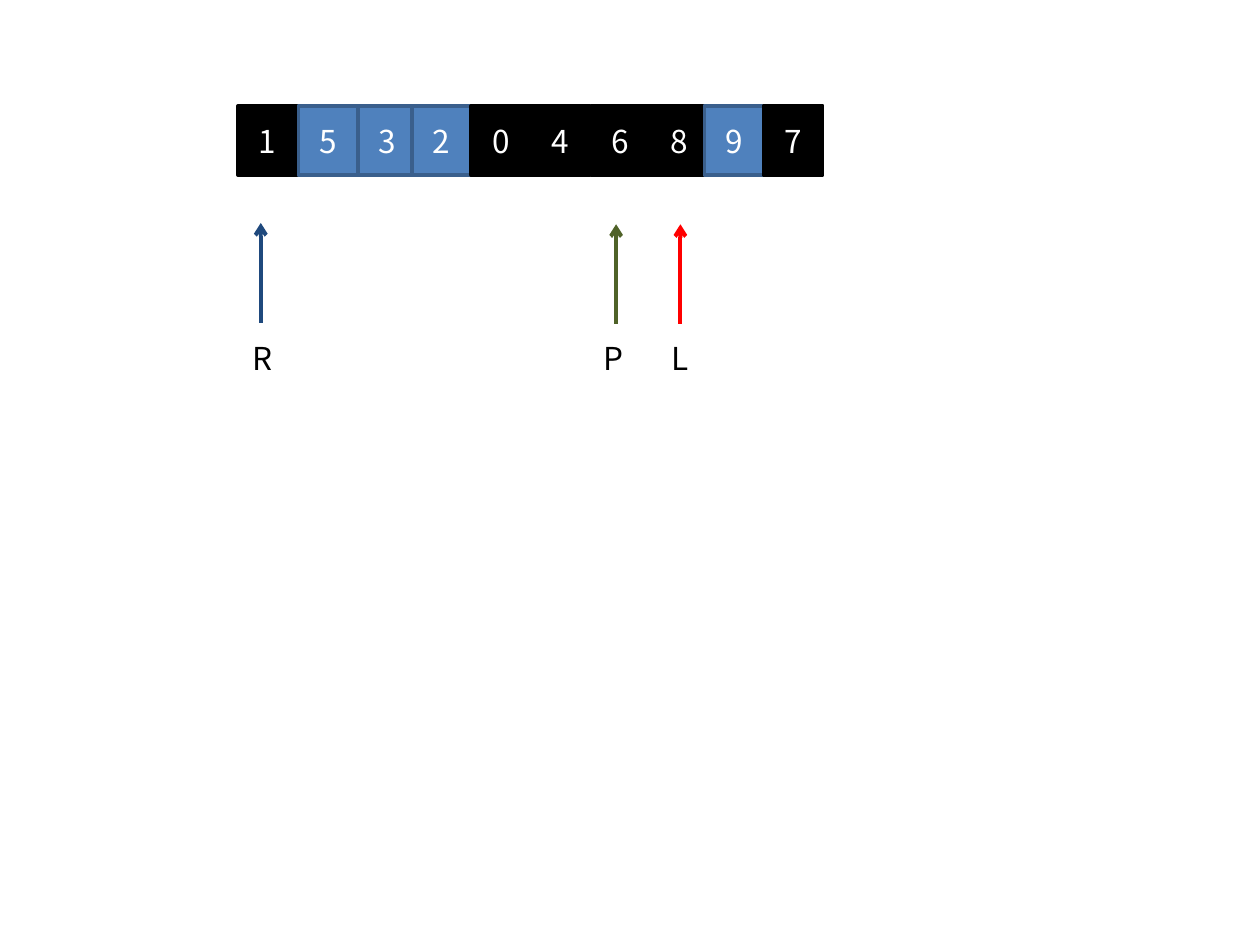
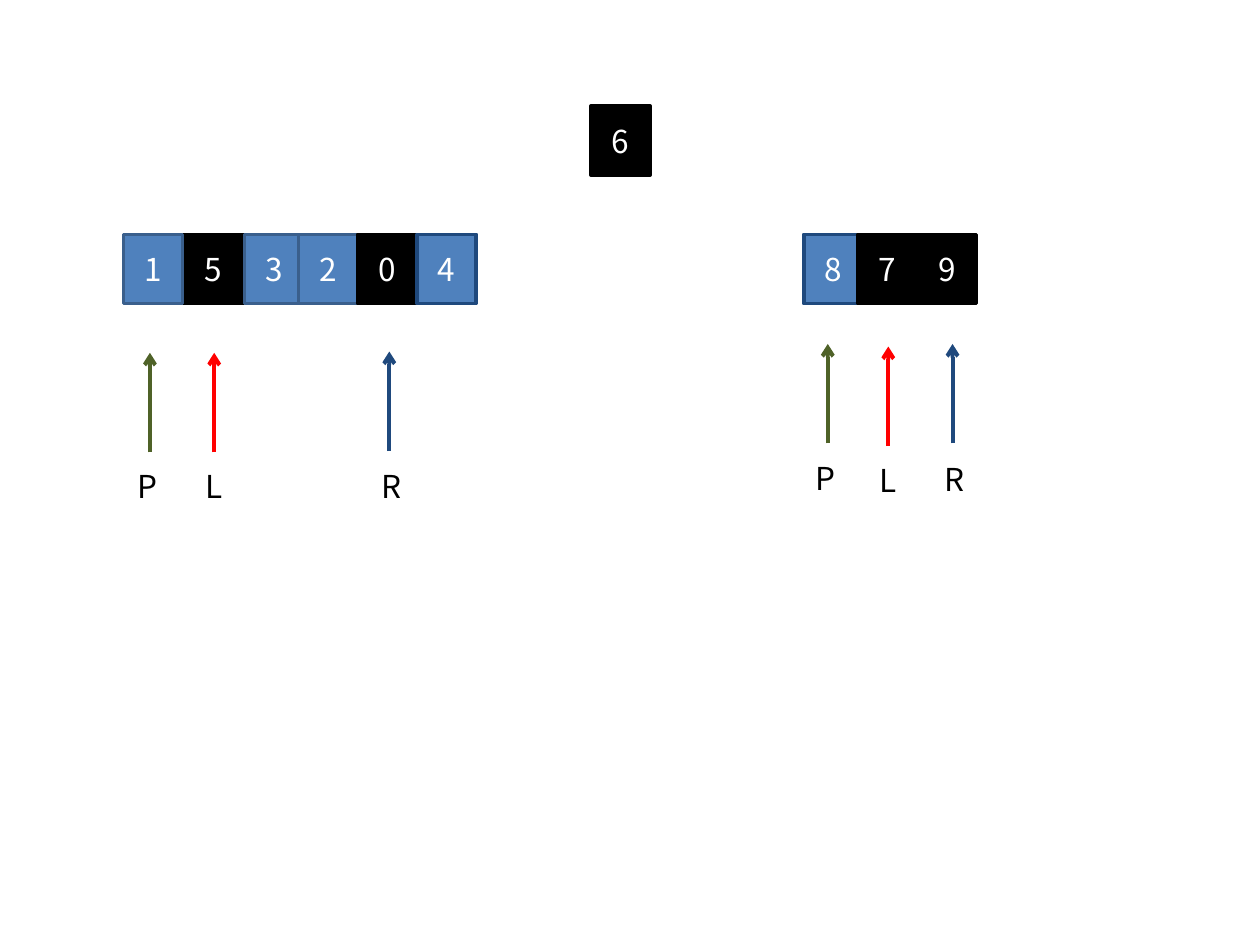
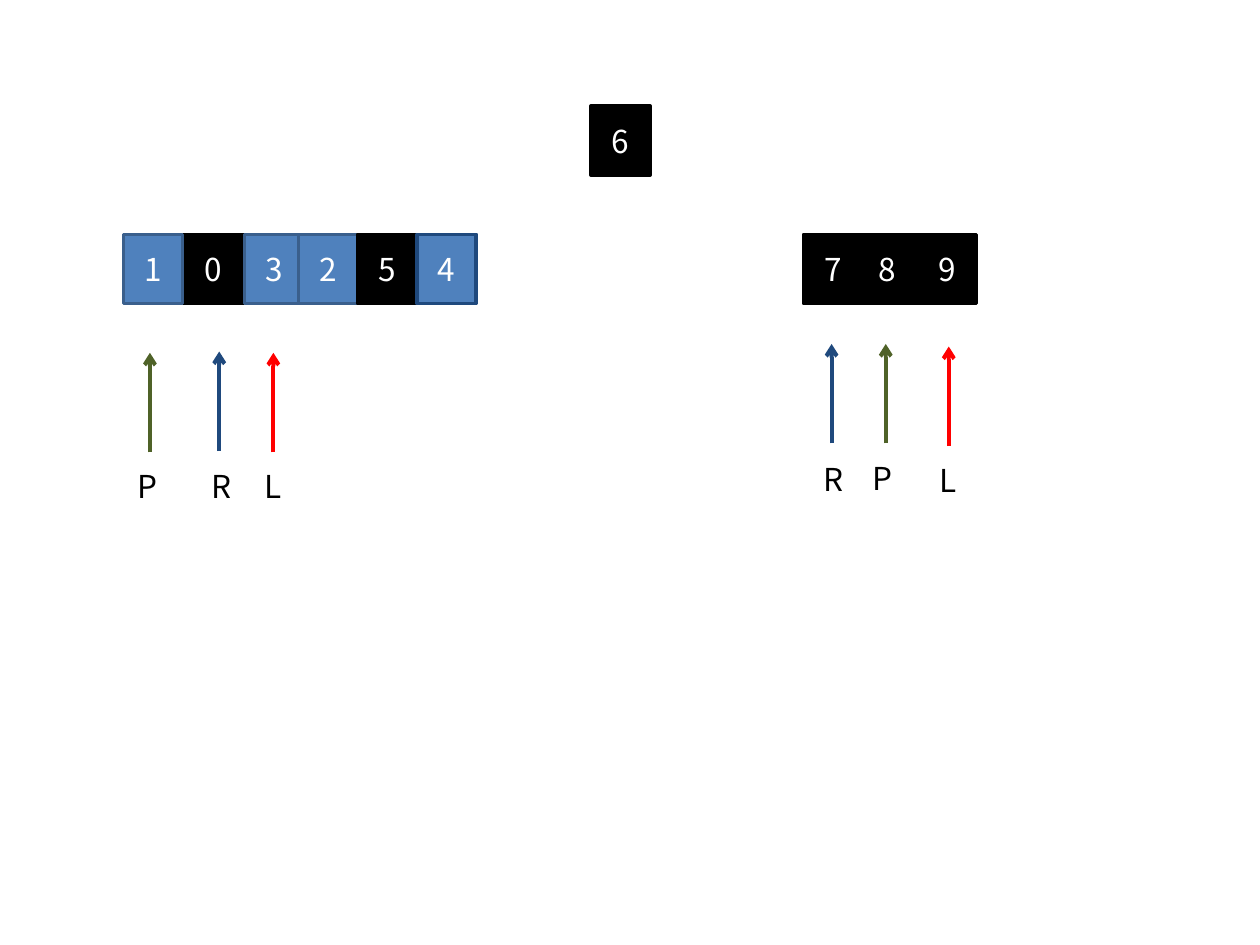
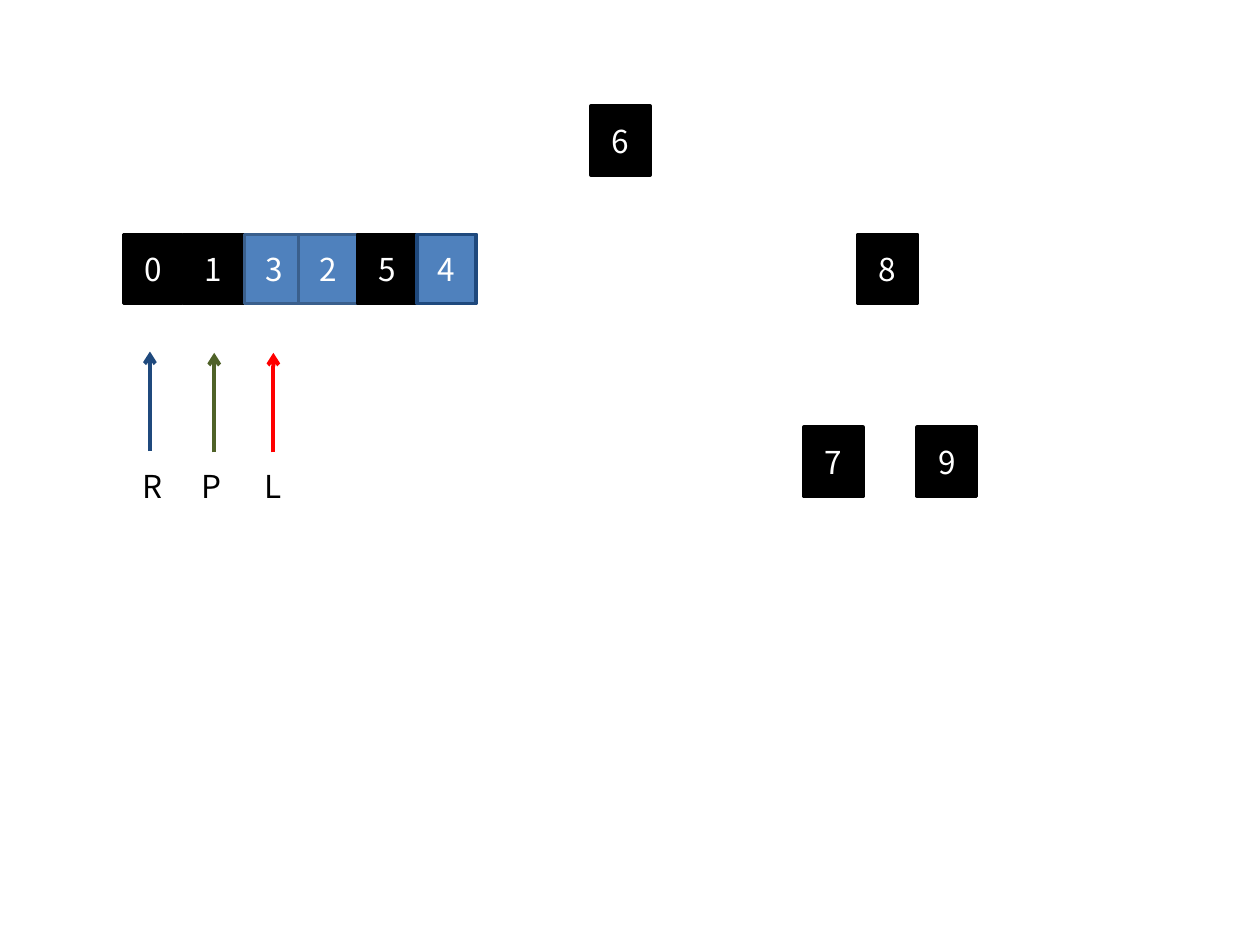
import pptx
import pptx.dml.color
import pptx.enum.shapes
import pptx.enum.text
import pptx.oxml.ns
import pptx.util
from lxml import etree

Inches = pptx.util.Inches
Pt = pptx.util.Pt

COLORS = {
    "black": "000000", "white": "FFFFFF", "blue": "4F81BD",
    "steel": "3A5F8C", "navy": "1F497D", "green": "4F6228", "red": "FF0000",
}
# Cell styles: k = settled or pointed at, b = waiting, n = waiting, navy edge
CELL_STYLES = {"k": ("black", "black"), "b": ("blue", "steel"), "n": ("blue", "navy")}
# Pointers: colour, label width, label offset from the arrow's foot
POINTERS = {
    "L": ("red", 0.33, -0.17, 0.07),
    "R": ("navy", 0.36, -0.16, 0.08),
    "P": ("green", 0.35, -0.2, 0.07),
}

# Cell positions
TOP_Y, SECOND_Y, THIRD_Y = 0.84, 1.86, 3.39
FULL_ROW = [1.89, 2.37, 2.84, 3.27, 3.74, 4.21, 4.69, 5.16, 5.59, 6.06]
LEFT_PART = [1.46, 1.94, 2.37, 2.84, 3.31, 0.98]  # first cell lies on top
RIGHT_PART = [6.38, 6.81, 7.28]
PIVOT_X = 4.69


def rgb(name):
    return pptx.dml.color.RGBColor.from_string(COLORS[name])


class Deck:
    font = "Noto Sans CJK KR"
    size = 18
    cell_width, cell_height = 0.47, 0.55
    arrow_length = 0.79

    def __init__(self):
        self.prs = pptx.Presentation()
        self.prs.slide_width = Inches(10)
        self.prs.slide_height = Inches(7.5)

    def new_slide(self):
        self.s = self.prs.slides.add_slide(self.prs.slide_layouts[6])

    def set_text(self, tf, text, color):
        p = tf.paragraphs[0]
        p.text = text
        p.font.name = self.font
        p.font.size = Pt(self.size)
        p.font.color.rgb = rgb(color)
        return p

    def cell(self, x, y, digit, style="k"):
        fill, edge = CELL_STYLES[style]
        sp = self.s.shapes.add_shape(
            pptx.enum.shapes.MSO_SHAPE.RECTANGLE, Inches(x), Inches(y),
            Inches(self.cell_width), Inches(self.cell_height))
        sp.shadow.inherit = False
        sp.fill.solid()
        sp.fill.fore_color.rgb = rgb(fill)
        sp.line.color.rgb = rgb(edge)
        sp.line.width = Pt(2)
        tf = sp.text_frame
        tf.vertical_anchor = pptx.enum.text.MSO_ANCHOR.MIDDLE
        p = self.set_text(tf, digit, "white")
        p.alignment = pptx.enum.text.PP_ALIGN.CENTER

    def row(self, xs, y, digits, styles):
        for x, digit, style in zip(xs, digits, styles):
            self.cell(x, y, digit, style)

    def pointer(self, letter, x, foot):
        """An upward arrow with its letter below, as one group."""
        color, width, dx, dy = POINTERS[letter]
        group = self.s.shapes.add_group_shape()
        arrow = group.shapes.add_connector(
            pptx.enum.shapes.MSO_CONNECTOR.STRAIGHT, Inches(x), Inches(foot),
            Inches(x), Inches(foot - self.arrow_length))
        arrow.line.color.rgb = rgb(color)
        arrow.line.width = Pt(2.25)
        qn = pptx.oxml.ns.qn
        props = arrow.element.spPr
        etree.SubElement(props.find(qn("a:ln")), qn("a:tailEnd"), type="arrow")
        etree.SubElement(props, qn("a:effectLst"))

        label = group.shapes.add_textbox(
            Inches(x + dx), Inches(foot + dy), Inches(width), Inches(0.4))
        tf = label.text_frame
        tf.word_wrap = False
        tf.auto_size = pptx.enum.text.MSO_AUTO_SIZE.SHAPE_TO_FIT_TEXT
        self.set_text(tf, letter, "black")

    def pointers(self, *places):
        for letter, x, foot in places:
            self.pointer(letter, x, foot)


deck = Deck()

# Slide 1: first partition, pivot 6
deck.new_slide()
deck.row(FULL_ROW, TOP_Y, "1532046897", "kbbbkkkkbk")
deck.pointers(("L", 5.4, 2.57), ("R", 2.07, 2.56), ("P", 4.89, 2.57))

# Slide 2: both halves start
deck.new_slide()
deck.row(LEFT_PART, SECOND_Y, "532041", "kbbknb")
deck.row(RIGHT_PART, SECOND_Y, "879", "nkk")
deck.pointers(("L", 7.05, 3.54), ("R", 3.09, 3.58), ("P", 1.19, 3.59),
              ("R", 7.56, 3.52), ("P", 6.57, 3.52), ("L", 1.7, 3.59))
deck.cell(PIVOT_X, TOP_Y, "6")

# Slide 3: pointers have crossed in both halves
deck.new_slide()
deck.row(LEFT_PART, SECOND_Y, "032541", "kbbknb")
deck.row(RIGHT_PART, SECOND_Y, "789", "kkk")
deck.pointers(("L", 7.53, 3.54), ("R", 1.74, 3.58), ("P", 1.19, 3.59),
              ("R", 6.6, 3.52), ("P", 7.03, 3.52), ("L", 2.17, 3.59))
deck.cell(PIVOT_X, TOP_Y, "6")

# Slide 4: right half is split around 8
deck.new_slide()
deck.row(LEFT_PART, SECOND_Y, "132540", "kbbknk")
for x, y, digit in zip(RIGHT_PART, (THIRD_Y, SECOND_Y, THIRD_Y), "789"):
    deck.cell(x, y, digit)
deck.pointers(("R", 1.19, 3.58), ("P", 1.7, 3.59), ("L", 2.17, 3.59))
deck.cell(PIVOT_X, TOP_Y, "6")

deck.prs.save("out.pptx")
